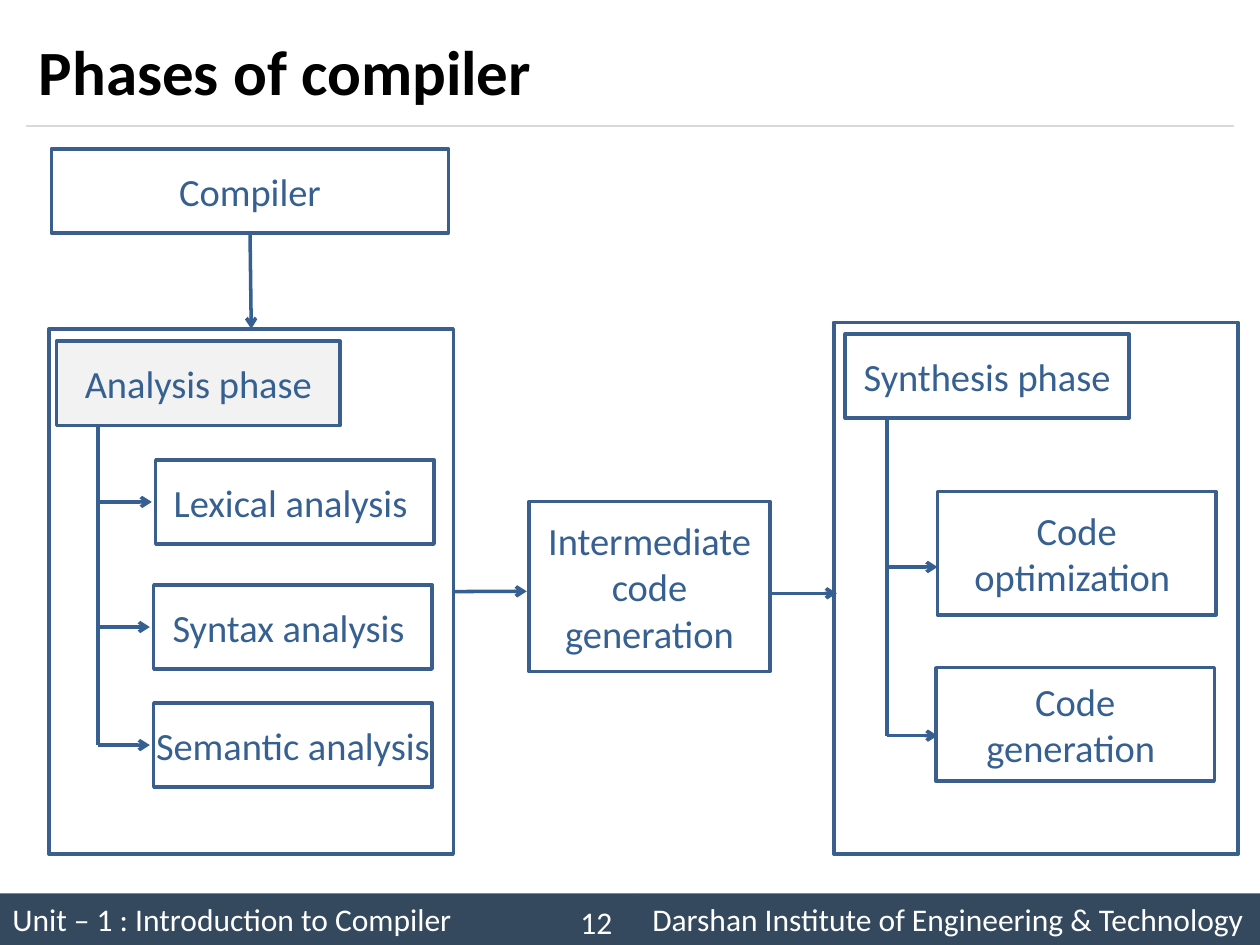
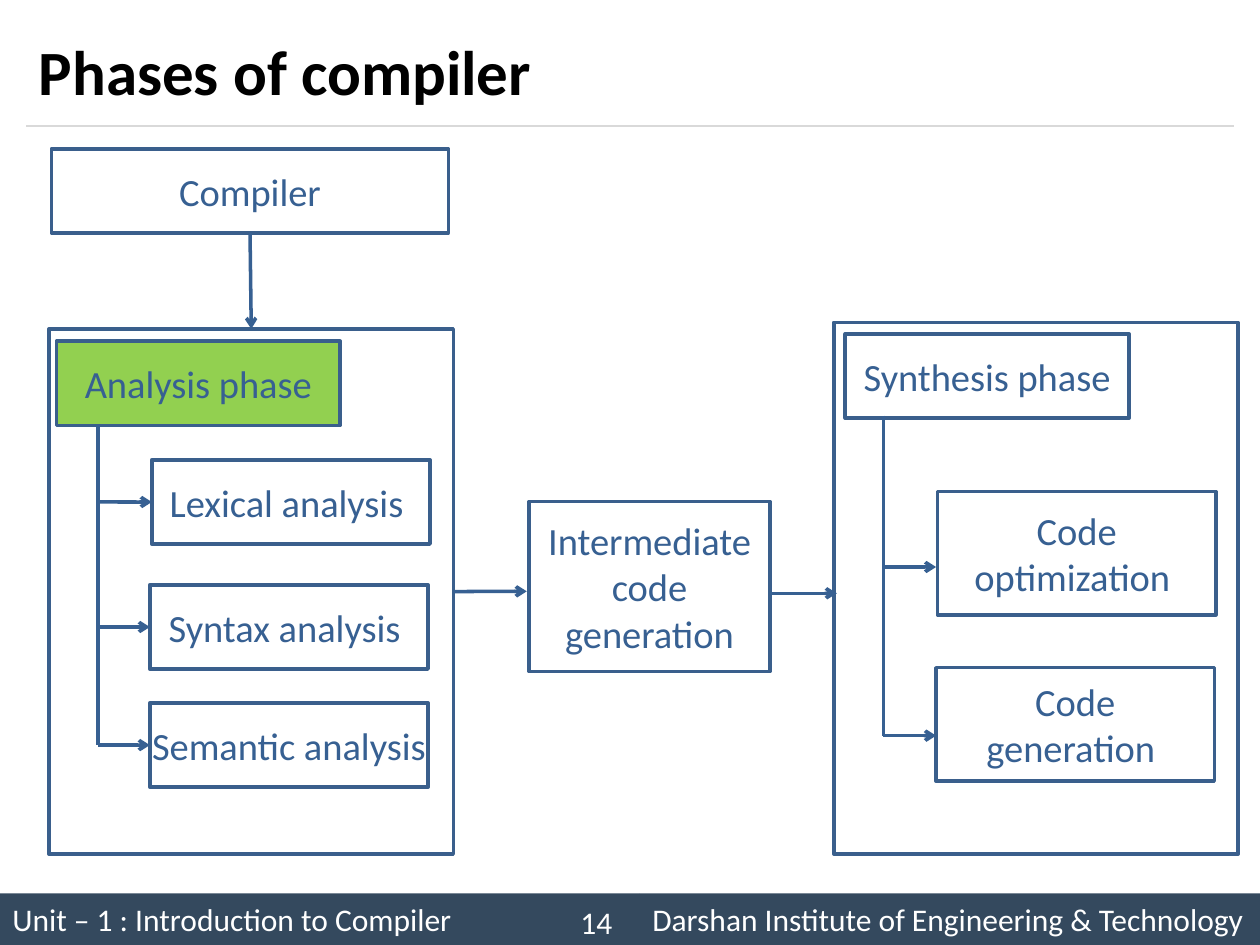
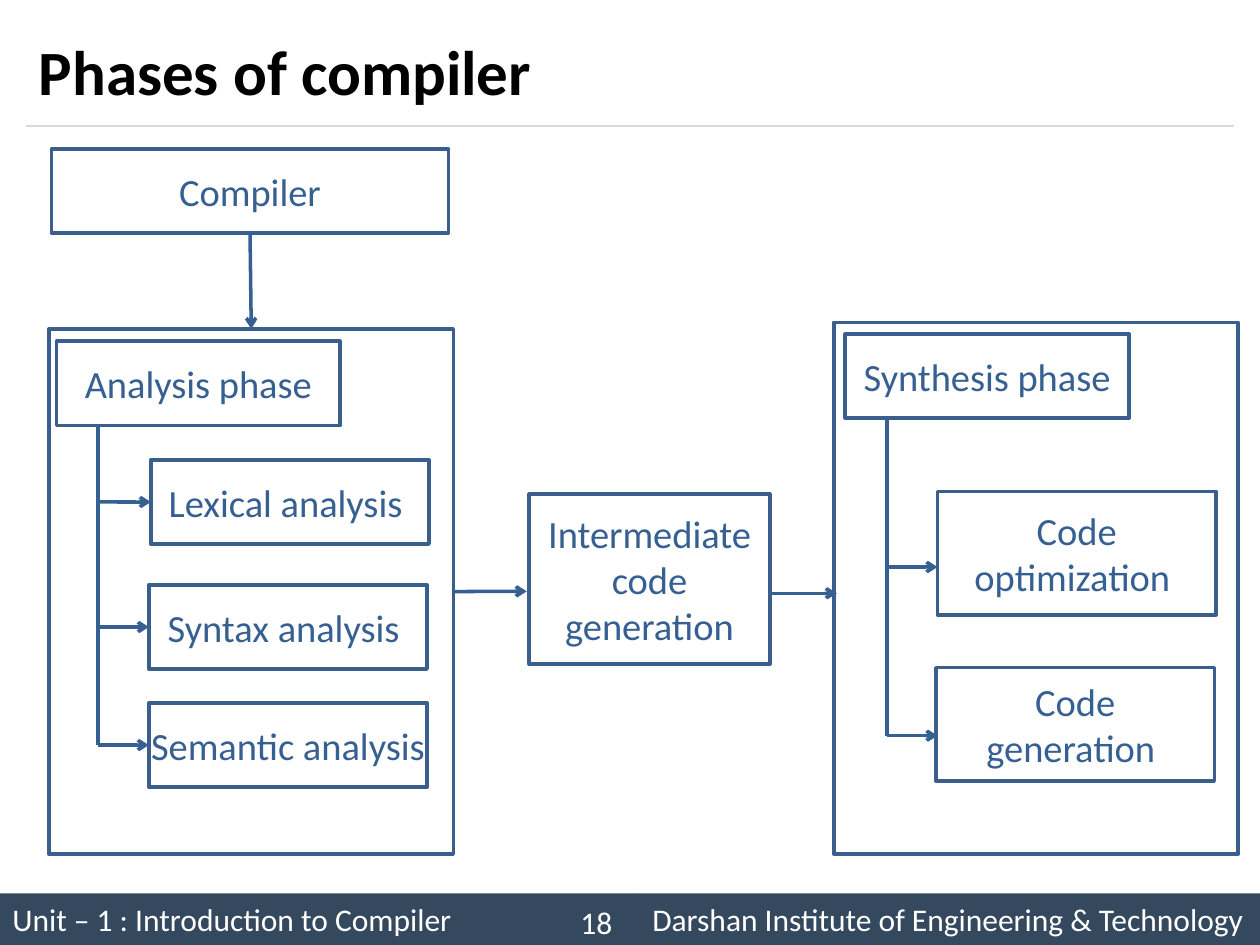
from lxml import etree
from pptx import Presentation
from pptx.dml.color import RGBColor
from pptx.enum.shapes import MSO_CONNECTOR, MSO_SHAPE
from pptx.enum.text import MSO_ANCHOR, PP_ALIGN
from pptx.oxml.ns import qn
from pptx.util import Cm, Pt

FONT = "Calibri"
rgb = RGBColor.from_string
OUTLINE, BLUE, BAR, RULE = "3A5F8C", "376092", "34495E", "D9D9D9"
WHITE, BLACK, GREY, GREEN = "FFFFFF", "000000", "F2F2F2", "92D050"


def add_box(s, x, y, w, h, text="", fill=None, outline=OUTLINE,
            size=22, color=BLUE, align=PP_ALIGN.CENTER):
    sp = s.shapes.add_shape(MSO_SHAPE.RECTANGLE, Cm(x), Cm(y), Cm(w), Cm(h))
    sp.shadow.inherit = False
    if fill:
        sp.fill.solid()
        sp.fill.fore_color.rgb = rgb(fill)
    else:
        sp.fill.background()
    if outline:
        sp.line.color.rgb = rgb(outline)
        sp.line.width = Pt(2)
    else:
        sp.line.fill.background()
    tf = sp.text_frame
    tf.word_wrap = True
    tf.vertical_anchor = MSO_ANCHOR.MIDDLE
    if text:
        tf.text = text
        p = tf.paragraphs[0]
        p.alignment = align
        font = p.runs[0].font
        font.name, font.size, font.color.rgb = FONT, Pt(size), rgb(color)
    return sp


def add_line(s, x1, y1, x2, y2, arrow=True, color=BLUE, width=2):
    cn = s.shapes.add_connector(MSO_CONNECTOR.STRAIGHT, Cm(x1), Cm(y1), Cm(x2), Cm(y2))
    cn.line.color.rgb = rgb(color)
    cn.line.width = Pt(width)
    if arrow:
        etree.SubElement(cn.line._get_or_add_ln(), qn("a:tailEnd"), type="arrow")
    etree.SubElement(cn._element.spPr, qn("a:effectLst"))
    return cn


prs = Presentation()
prs.slide_width, prs.slide_height = Cm(25.4), Cm(19.05)

# number, analysis fill, step left, step arrow end, synthesis spine, code arrow end, middle box top
variants = [
    ("12", GREY, 3.1, 3.02, 17.88, 18.9, 10.11),
    ("14", GREEN, 3.02, 3.02, 17.81, 18.87, 10.11),
    ("18", None, 3.0, 3.0, 17.88, 18.9, 9.96),
]
steps = [("Lexical analysis ", 0.04, 9.27),
         ("Syntax analysis ", 0, 11.79),
         ("Semantic analysis ", 0, 14.17)]
STEP_H = 1.7
codes = [("Code optimization ", 18.9, 9.91, 2.49, 11.43),
         ("Code generation ", 18.87, 13.46, 2.29, 14.83)]
ANALYSIS_SPINE = 1.98

for number, analysis_fill, step_x, step_end, code_spine, code_end, middle_y in variants:
    s = prs.slides.add_slide(prs.slide_layouts[5])

    # Title, rule and footer
    title = s.shapes.title
    title.left, title.top, title.width, title.height = Cm(0.53), Cm(0.3), Cm(24.33), Cm(2.24)
    title.text_frame.text = "Phases of compiler"
    title.text_frame.vertical_anchor = MSO_ANCHOR.MIDDLE
    p = title.text_frame.paragraphs[0]
    p.alignment = PP_ALIGN.LEFT
    font = p.runs[0].font
    font.name, font.size, font.bold, font.color.rgb = FONT, Pt(36), True, rgb(BLACK)
    add_line(s, 0.53, 2.54, 24.87, 2.54, arrow=False, color=RULE, width=0.75)
    for x, w, text in [(0, 12.9, "Unit – 1 : Introduction to Compiler"),
                       (12.9, 12.5, "Darshan Institute of Engineering & Technology")]:
        add_box(s, x, 18.01, w, 1.04, text, BAR, None, 18, WHITE, PP_ALIGN.LEFT)
    add_box(s, 11.15, 18.08, 1.75, 1.02, number, None, None, 18, WHITE)

    # Compiler and the two phases
    compiler = add_box(s, 1.04, 3, 8, 1.7, "Compiler")
    analysis_frame = add_box(s, 0.99, 6.63, 8.15, 10.59)
    add_box(s, 16.81, 6.5, 8.15, 10.72)
    add_box(s, 1.14, 6.88, 5.72, 1.7, "Analysis phase", analysis_fill)
    add_box(s, 17.04, 6.73, 5.72, 1.7, "Synthesis phase")
    down = add_line(s, 5.04, 4.7, 5.06, 6.63)
    down.begin_connect(compiler, 2)
    down.end_connect(analysis_frame, 0)

    # Steps of the analysis phase
    add_line(s, ANALYSIS_SPINE, 8.56, ANALYSIS_SPINE, 15.02, arrow=False)
    for text, shift, y in steps:
        step = add_box(s, step_x + shift, y, 5.61, STEP_H, text)
        if text.startswith("Semantic"):
            tf = step.text_frame
            tf.margin_left = tf.margin_right = tf.margin_top = tf.margin_bottom = 0
        mid = y + STEP_H / 2
        arrow = add_line(s, ANALYSIS_SPINE, mid, step_end + shift, mid)
        if step_end == step_x:
            arrow.end_connect(step, 1)

    # Intermediate code between the phases
    add_box(s, 10.67, middle_y, 4.85, 3.43, "Intermediate code generation")
    add_line(s, 9.14, 11.92, 10.62, 11.92).begin_connect(analysis_frame, 3)
    add_line(s, 15.52, 11.96, 16.87, 11.96)

    # Steps of the synthesis phase
    add_line(s, code_spine, 8.38, code_spine, 14.83, arrow=False)
    for text, x, y, h, arrow_y in codes:
        add_box(s, x, y, 5.61, h, text)
        add_line(s, code_spine, arrow_y, code_end, arrow_y)

prs.save("out.pptx")
